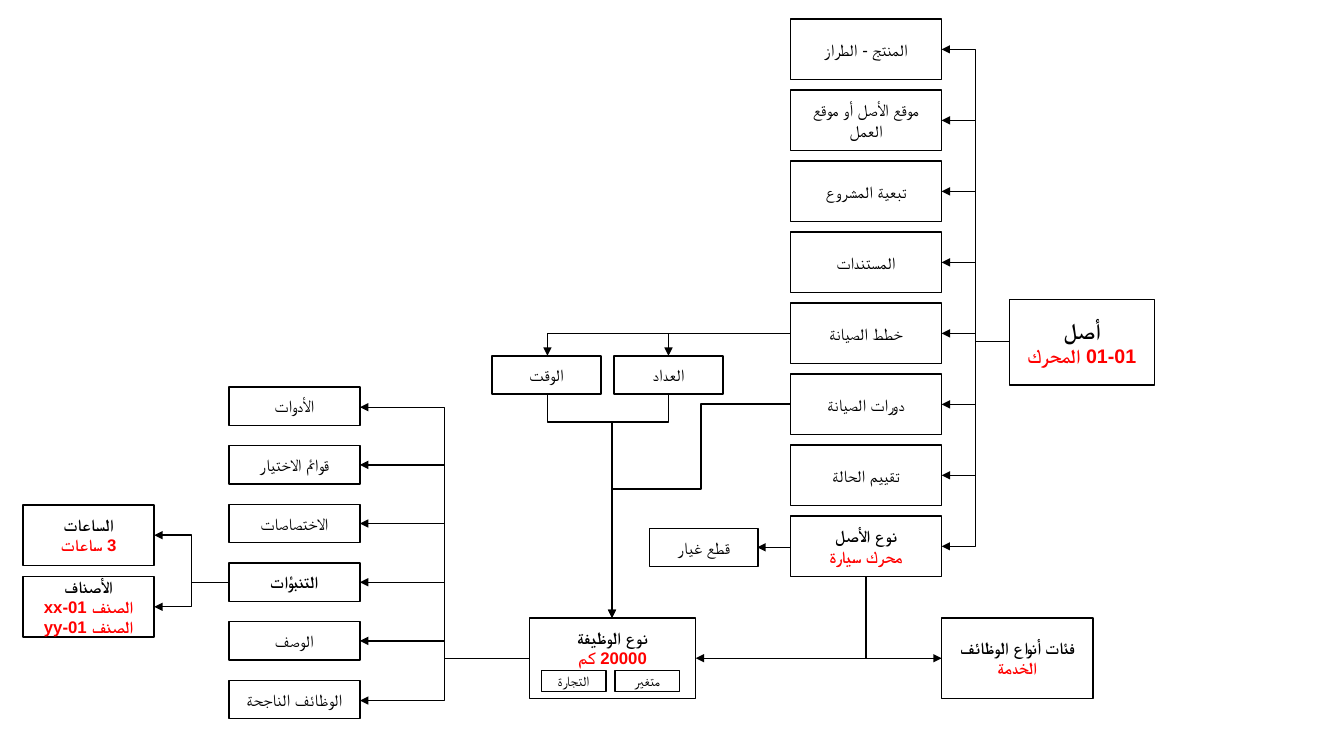
"""Draws the asset maintenance structure as a right-to-left box diagram."""
import pptx
import pptx.dml.color
import pptx.enum.shapes
import pptx.enum.text
import pptx.oxml.ns
import pptx.util
from lxml import etree

Inches = pptx.util.Inches
Pt = pptx.util.Pt
qn = pptx.oxml.ns.qn
CONNECTOR = pptx.enum.shapes.MSO_CONNECTOR
COLORS = {
    name: pptx.dml.color.RGBColor.from_string(value)
    for name, value in {"ink": "000000", "paper": "FFFFFF", "example": "FF0000"}.items()
}

prs = pptx.Presentation()
prs.slide_width, prs.slide_height = Inches(13.33), Inches(7.5)
s = prs.slides.add_slide(prs.slide_layouts[6])


def add_box(x, y, w, h, title, examples=(), size=12, example_size=12, bold=False, bottom=0.05):
    sp = s.shapes.add_shape(
        pptx.enum.shapes.MSO_SHAPE.RECTANGLE, Inches(x), Inches(y), Inches(w), Inches(h)
    )
    sp.shadow.inherit = False
    sp.fill.solid()
    sp.fill.fore_color.rgb = COLORS["paper"]
    sp.line.color.rgb = COLORS["ink"]
    sp.line.width = Pt(1)
    tf = sp.text_frame
    tf.word_wrap = True
    tf.vertical_anchor = pptx.enum.text.MSO_ANCHOR.MIDDLE
    tf.margin_bottom = Inches(bottom)
    tf.text = "\n".join([title, *examples])
    for i, p in enumerate(tf.paragraphs):
        p.alignment = pptx.enum.text.PP_ALIGN.CENTER
        p.font.name = "Arial"
        p.font.size = Pt(example_size if i else size)
        p.font.bold = bold
        p.font.color.rgb = COLORS["example" if i else "ink"]
        p._p.pPr.set("rtl", "1")
        etree.SubElement(p.font._element, qn("a:cs")).set("typeface", "Arial")


def add_link(x1, y1, x2, y2, preset="line", arrow=True, downward=False, bend=None):
    if downward:
        cx, cy, dx, dy = (x1 + x2) / 2, (y1 + y2) / 2, x2 - x1, y2 - y1
        x1, y1, x2, y2 = cx - dy / 2, cy + dx / 2, cx + dy / 2, cy - dx / 2
    kind = CONNECTOR.STRAIGHT if preset == "line" else CONNECTOR.ELBOW
    cn = s.shapes.add_connector(kind, Inches(x1), Inches(y1), Inches(x2), Inches(y2))
    cn.line.color.rgb = COLORS["ink"]
    cn.line.width = Pt(1)
    spPr = cn._element.spPr
    geom = spPr.find(qn("a:prstGeom"))
    geom.set("prst", preset)
    if downward:
        spPr.find(qn("a:xfrm")).set("rot", "5400000")
    if bend:
        gd = etree.SubElement(geom.find(qn("a:avLst")), qn("a:gd"))
        gd.set("name", "adj1")
        gd.set("fmla", f"val {round(bend * 100000)}")
    if arrow:
        etree.SubElement(spPr.find(qn("a:ln")), qn("a:tailEnd")).set("type", "triangle")
    etree.SubElement(spPr, qn("a:effectLst"))


add_box(10.01, 2.97, 1.44, 0.85, "أصل", ["01-01 المحرك"], size=16, example_size=14, bold=True)

asset_parts = [
    "المنتج - الطراز", "موقع الأصل أو موقع العمل", "تبعية المشروع", "المستندات",
    "خطط الصيانة", "دورات الصيانة", "تقييم الحالة", "نوع الأصل",
]
for i, title in enumerate(asset_parts):
    y = 0.19 + i * 4.93 / 7
    is_type = title == "نوع الأصل"
    add_box(7.84, y, 1.5, 0.6, title, ["محرك سيارة"] if is_type else [], bold=is_type)
    if i in (0, len(asset_parts) - 1):
        add_link(10.01, 3.39, 9.34, y + 0.3, "bentConnector3")
    else:
        add_link(9.67, y + 0.3, 9.34, y + 0.3)

add_box(9.34, 6.13, 1.5, 0.8, "فئات أنواع الوظائف", ["الخدمة"], bold=True)
add_box(5.25, 6.13, 1.65, 0.8, "نوع الوظيفة", ["20000 كم"], bold=True, bottom=0.25)
for x, title in [(6.1, "متغير"), (5.37, "التجارة")]:
    add_box(x, 6.65, 0.64, 0.21, title, size=10)
for x, y, title in [(6.44, 5.24, "قطع غيار"), (6.09, 3.53, "العداد"), (4.88, 3.53, "الوقت")]:
    add_box(x, y, 1.08, 0.38, title)

job_parts = [
    "الأدوات", "قوائم الاختيار", "الاختصاصات", "التنبؤات", "الوصف", "الوظائف الناجحة",
]
for i, title in enumerate(job_parts):
    y = 3.84 + i * 2.91 / 5
    add_box(2.27, y, 1.3, 0.38, title, bold=title == "التنبؤات")
    if i in (0, len(job_parts) - 1):
        add_link(5.25, 6.53, 3.57, y + 0.2, "bentConnector3")
    else:
        add_link(4.41, y + 0.19, 3.57, y + 0.19)

forecasts = [
    (5.01, "الساعات", ["3 ساعات"]),
    (5.72, "الأصناف", ["الصنف 01-xx", "الصنف 01-yy"]),
]
for y, title, examples in forecasts:
    add_box(0.23, y, 1.3, 0.6, title, examples, bold=True)
    add_link(2.27, 5.78, 1.53, y + 0.3, "bentConnector3")

add_link(7.84, 5.43, 7.51, 5.43)
add_link(7.84, 3.31, 5.43, 3.53, "bentConnector2")
add_link(6.63, 3.31, 6.63, 3.53)
for x in (5.43, 6.63):
    add_link(x, 3.92, 6.07, 6.13, "bentConnector3", downward=True, bend=0.12)
add_link(7.84, 4.01, 6.07, 4.85, "bentConnector3", arrow=False)
add_link(8.59, 5.72, 9.34, 6.53, "bentConnector2", downward=True)
add_link(9.34, 6.53, 6.9, 6.53)

prs.save("out.pptx")
